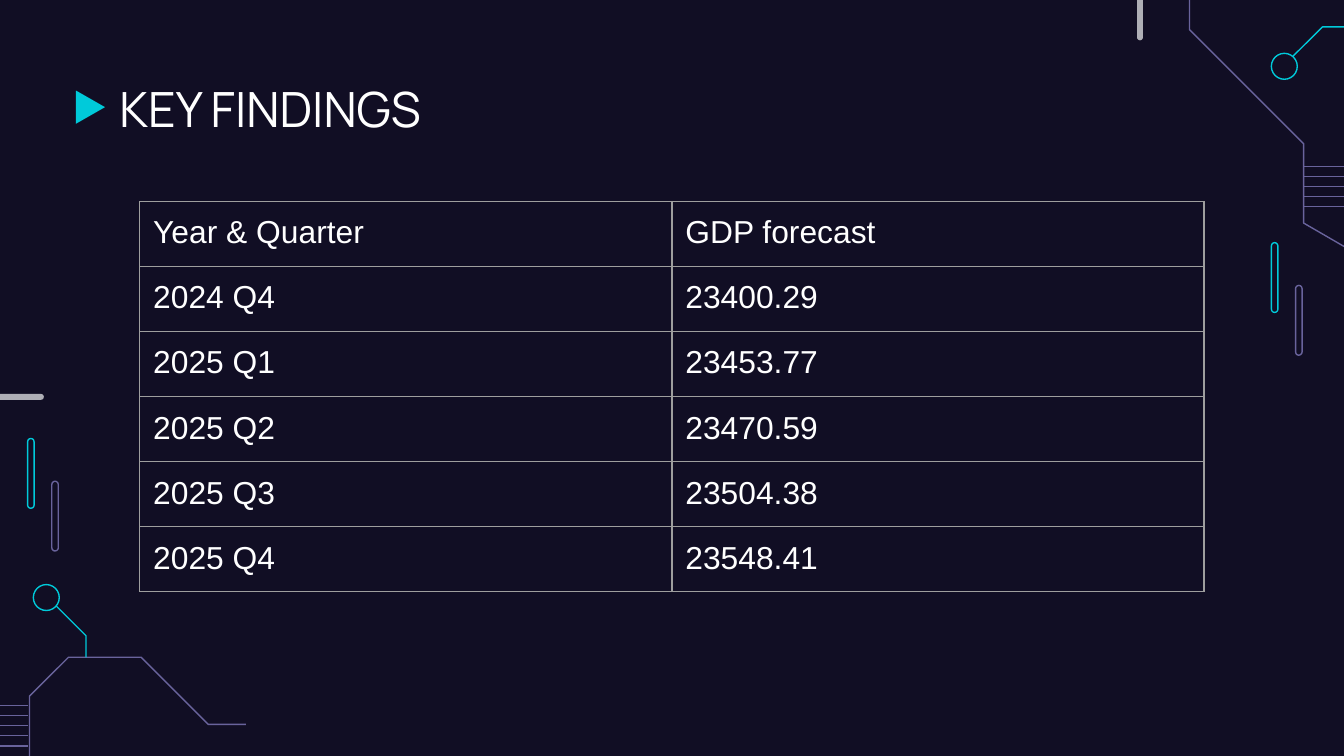
from lxml.etree import SubElement
from pptx import Presentation
from pptx.dml.color import RGBColor
from pptx.enum.shapes import MSO_CONNECTOR, MSO_SHAPE
from pptx.enum.text import MSO_ANCHOR
from pptx.oxml.ns import qn
from pptx.util import Pt

NIGHT = RGBColor(0x11, 0x0E, 0x24)
CYAN = RGBColor(0x00, 0xCA, 0xDA)
VIOLET = RGBColor(0x69, 0x63, 0x9C)
SILVER = RGBColor(0xAF, 0xAF, 0xB6)
GRID = RGBColor(0x9E, 0x9E, 0x9E)
WHITE = RGBColor(0xFF, 0xFF, 0xFF)
HAIRLINE = Pt(0.75)

FORECAST = [
    ("Year & Quarter", "GDP forecast"),
    ("2024 Q4", "23400.29"),
    ("2025 Q1", "23453.77"),
    ("2025 Q2", "23470.59"),
    ("2025 Q3", "23504.38"),
    ("2025 Q4", "23548.41"),
]


def style_outline(shape, color):
    shape.shadow.inherit = False
    shape.fill.background()
    shape.line.color.rgb = color
    shape.line.width = HAIRLINE


def style_solid(shape, color):
    shape.shadow.inherit = False
    shape.fill.solid()
    shape.fill.fore_color.rgb = color
    shape.line.fill.background()


def add_preset(slide, preset, left, top, width, height):
    return slide.shapes.add_shape(preset, Pt(left), Pt(top), Pt(width), Pt(height))


def add_pill(slide, left, top, width, height):
    pill = add_preset(slide, MSO_SHAPE.ROUNDED_RECTANGLE, left, top, width, height)
    pill.adjustments[0] = 0.5
    return pill


def add_trace(slide, left, top, points, color):
    """Open circuit trace through points relative to (left, top)."""
    start, *rest = [(Pt(left + x), Pt(top + y)) for x, y in points]
    builder = slide.shapes.build_freeform(*start)
    builder.add_line_segments(rest, close=False)
    style_outline(builder.convert_to_shape(), color)


def add_pill_pair(slide, left, top):
    for dx, dy, color in ((0, 0, CYAN), (12.96, 22.9, VIOLET)):
        style_outline(add_pill(slide, left + dx, top + dy, 3.5, 37.4), color)


def add_stripes(slide, left, top, width, gap=5.4, count=5):
    for i in range(count):
        y = Pt(top + i * gap)
        stripe = slide.shapes.add_connector(
            MSO_CONNECTOR.STRAIGHT, Pt(left), y, Pt(left + width), y)
        stripe.line.color.rgb = VIOLET
        stripe.line.width = HAIRLINE
        SubElement(stripe._element.spPr, qn("a:effectLst"))


def add_circuit(slide, left, top, stripes, edge, branch, node):
    """Corner ornament: stripes, violet edge, cyan branch ending in a ring."""
    add_stripes(slide, left + stripes[0], top + stripes[1], 76.3)
    add_trace(slide, left, top, edge, VIOLET)
    add_trace(slide, left, top, branch, CYAN)
    ring = add_preset(slide, MSO_SHAPE.OVAL, left + node[0], top + node[1], 13.9, 13.9)
    style_outline(ring, CYAN)


def add_title(slide, left, top, width, height):
    # Marker pointing at the title
    marker = add_preset(slide, MSO_SHAPE.FLOWCHART_MERGE, left, top + 14.3, 17.8, 15.6)
    marker.rotation = 270
    style_solid(marker, CYAN)

    title = slide.shapes.add_textbox(Pt(left + 17.3), Pt(top), Pt(width - 17.3), Pt(height))
    frame = title.text_frame
    frame.word_wrap = True
    frame.vertical_anchor = MSO_ANCHOR.MIDDLE
    frame.margin_left = frame.margin_right = Pt(7.2)
    frame.margin_top = frame.margin_bottom = Pt(7.2)
    frame.text = "KEY FINDINGS"
    font = frame.paragraphs[0].runs[0].font
    font.name, font.size, font.color.rgb = "Manrope", Pt(26), WHITE


def style_cell(cell):
    properties = cell._tc.get_or_add_tcPr()
    for side in ("a:lnL", "a:lnR", "a:lnT", "a:lnB"):
        border = SubElement(properties, qn(side), w=str(HAIRLINE))
        fill = SubElement(border, qn("a:solidFill"))
        SubElement(fill, qn("a:srgbClr"), val=str(GRID))
    cell.fill.background()
    cell.margin_left = cell.margin_right = Pt(7.2)
    cell.margin_top = cell.margin_bottom = Pt(7.2)
    font = cell.text_frame.paragraphs[0].runs[0].font
    font.name, font.size, font.bold, font.color.rgb = "Arial", Pt(17), False, WHITE


def add_forecast_table(slide, left, top, width, height):
    rows, columns = len(FORECAST), len(FORECAST[0])
    table = slide.shapes.add_table(
        rows, columns, Pt(left), Pt(top), Pt(width), Pt(height)).table
    table.first_row = table.horz_banding = False
    for column in table.columns:
        column.width = Pt(width / columns)
    for row, values in zip(table.rows, FORECAST):
        row.height = Pt(height / rows)
        for cell, value in zip(row.cells, values):
            cell.text = value
            style_cell(cell)


def main():
    deck = Presentation()
    deck.slide_width, deck.slide_height = Pt(720), Pt(405)
    slide = deck.slides.add_slide(deck.slide_layouts[6])
    slide.background.fill.solid()
    slide.background.fill.fore_color.rgb = NIGHT

    # Pill pairs beside the table
    add_pill_pair(slide, 681.1, 130)
    add_pill_pair(slide, 14.8, 234.9)

    # Top right circuit
    add_circuit(
        slide, 637.2, 0, stripes=(61.2, 89.2),
        edge=[(0, -26), (0, 15.8), (61.2, 77), (61.2, 119.5), (115.9, 151.2), (112.3, 157.7)],
        branch=[(55.4, 30.2), (71.3, 14.4), (82.8, 14.4)], node=(43.9, 28.6))

    # Bottom left circuit
    add_circuit(
        slide, 0, 313.2, stripes=(-61.2, 64.8),
        edge=[(131.8, 74.9), (111.6, 74.9), (75.6, 38.9), (36.7, 38.9), (15.8, 59.8),
              (15.8, 107.3), (-92.9, 107.3)],
        branch=[(30.2, 11.5), (46.1, 27.4), (46.1, 38.9)], node=(17.9, 0))

    # Silver bars entering from the edges
    style_solid(add_pill(slide, 609.1, -13, 3.2, 34.6), SILVER)
    style_solid(add_pill(slide, -11.5, 211, 35, 3.2), SILVER)

    # Content
    add_title(slide, 39.6, 35.3, 624.3, 45.4)
    add_forecast_table(slide, 74.9, 108, 570.2, 200.4)

    deck.save("out.pptx")


if __name__ == "__main__":
    main()
